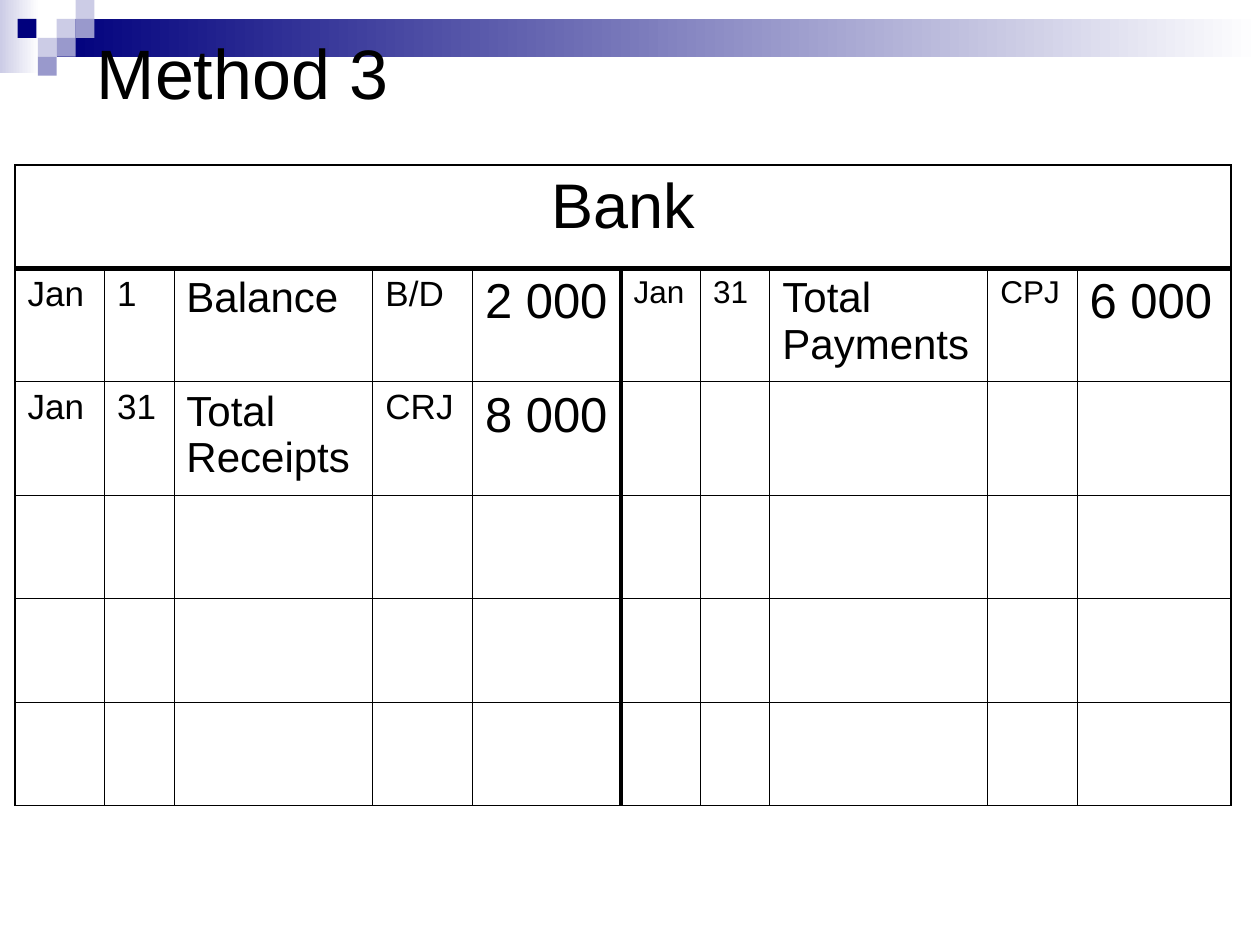
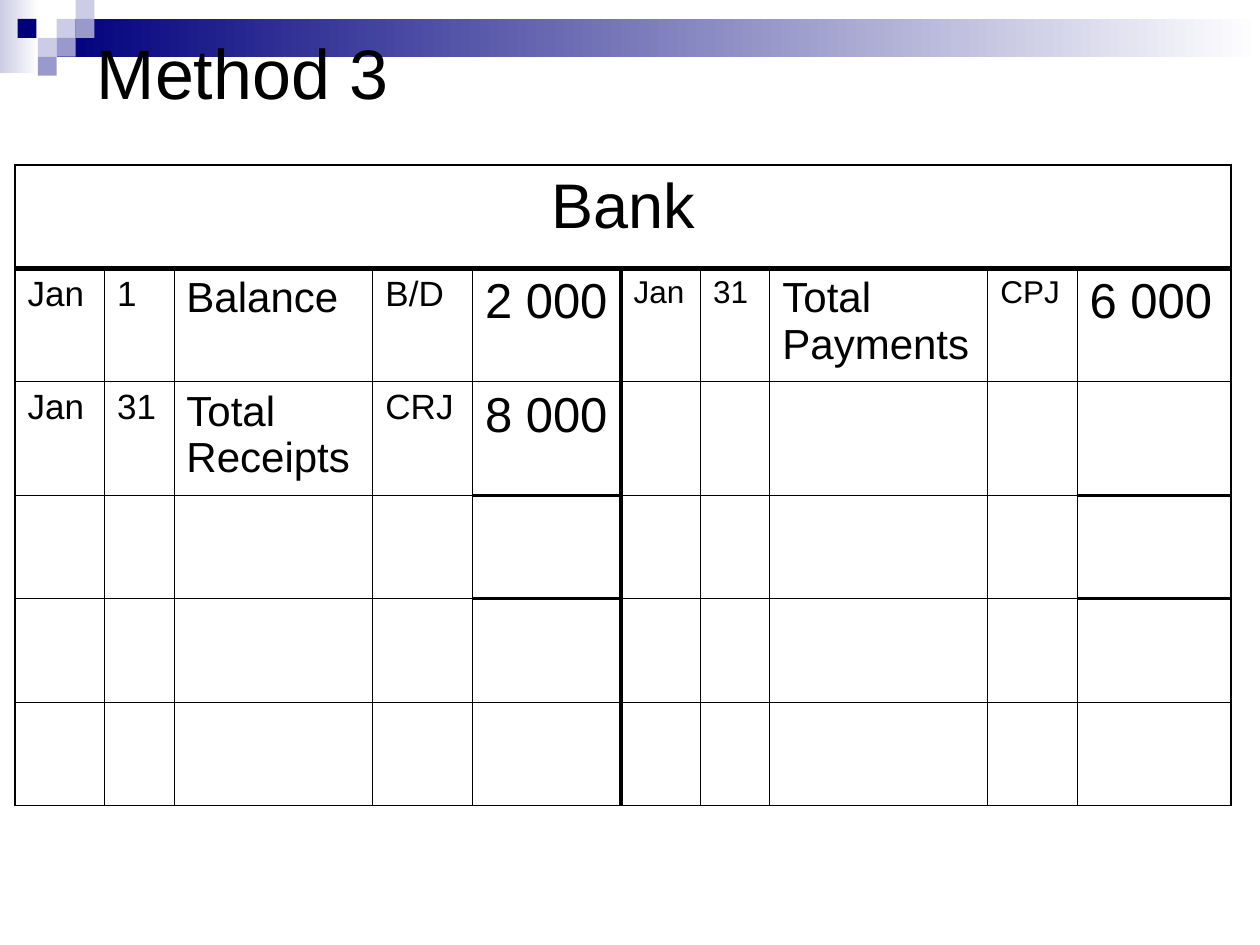
from lxml import etree
from pptx import Presentation
from pptx.dml.color import RGBColor
from pptx.enum.shapes import MSO_SHAPE
from pptx.enum.text import MSO_ANCHOR, PP_ALIGN
from pptx.oxml.ns import qn
from pptx.util import Inches, Pt

RECT = MSO_SHAPE.RECTANGLE
MIDDLE = MSO_ANCHOR.MIDDLE
LEFT, CENTER = PP_ALIGN.LEFT, PP_ALIGN.CENTER

UNIT = 0.15
BLACK, WHITE = "000000", "FFFFFF"
NAVY, LILAC, PALE = "00007D", "9999CC", "CCCCE6"
HAIR, OUTER, TOTAL, HEADER = 0.45, 1.08, 2.21, 3

SQUARES = [(3, 1, PALE), (4, 0, PALE), (4, 1, LILAC), (2, 2, PALE),
           (0.93, 1, NAVY), (3, 2, LILAC), (2, 3, LILAC)]

COL_WIDTHS = [4.73, 3.67, 10.53, 5.27, 7.87, 4.2, 3.67, 11.53, 4.73, 8.13]
ROW_HEIGHTS = [5.47, 6, 6, 5.47, 5.47, 5.47]
COL_SIZES = [20, 20, 24, 20, 28, 18, 18, 24, 18, 28]
AMOUNT_COLS = (4, 9)
CREDIT_COL = 5
ENTRIES = [
    ["Jan", "1", "Balance", "B/D", "2 000", "Jan", "31", "Total Payments", "CPJ", "6 000"],
    ["Jan", "31", "Total Receipts", "CRJ", "8 000"],
]


def rgb(value):
    """Turn a hex string into a colour."""
    return RGBColor.from_string(value)


def grid(n):
    """Turn a number of grid steps into a length."""
    return Inches(n * UNIT)


def write(tf, text, size=18, color=BLACK, font="Arial", align=LEFT):
    """Write one formatted paragraph into a text frame."""
    p = tf.paragraphs[0]
    p.alignment = align
    r = p.add_run()
    r.text = text
    r.font.size, r.font.name = Pt(size), font
    r.font.color.rgb = rgb(color)


def border(cell, edges):
    """Draw the sides of a cell from a dict of side and width."""
    tcPr = cell._tc.get_or_add_tcPr()
    for i, (side, width) in enumerate(edges.items()):
        ln = etree.Element(qn(f"a:ln{side}"), w=str(Pt(width)))
        fill = etree.SubElement(ln, qn("a:solidFill"))
        etree.SubElement(fill, qn("a:srgbClr"), val=BLACK)
        tcPr.insert(i, ln)


def row_edge(row, col, totals):
    """Give the width of the horizontal line above a row."""
    if row == 1:
        return HEADER
    if row in totals and col in AMOUNT_COLS:
        return TOTAL
    return OUTER if row in (0, len(ROW_HEIGHTS)) else HAIR


def col_edge(col):
    """Give the width of the vertical line left of a column."""
    return {0: OUTER, CREDIT_COL: TOTAL, len(COL_WIDTHS): OUTER}.get(col, HAIR)


class Deck:
    """Hold the presentation, its style and the current slide."""

    def __init__(self):
        """Start an empty presentation."""
        self.prs = Presentation()
        self.prs.slide_width, self.prs.slide_height = Inches(10), Inches(7.5)

    def slide(self, title):
        """Add a slide with the shared band and title."""
        self.s = self.prs.slides.add_slide(self.prs.slide_layouts[6])
        self.rect(0, 0, 2.07, 3.87, WHITE, PALE)
        self.rect(3, 1, 63.67, 2, WHITE, NAVY)
        for col, row, color in SQUARES:
            self.rect(col, row, 1, 1, color)
        self.title(title)

    def rect(self, x, y, w, h, color, end=None):
        """Add a plain rectangle, shaded from right to left if it has an end colour."""
        sp = self.s.shapes.add_shape(RECT, grid(x), grid(y), grid(w), grid(h))
        sp.shadow.inherit = False
        sp.line.fill.background()
        if end:
            sp.fill.gradient()
            sp.fill.gradient_angle = 180
            for stop, value in zip(sp.fill.gradient_stops, (color, end)):
                stop.color.rgb = rgb(value)
        else:
            sp.fill.solid()
            sp.fill.fore_color.rgb = rgb(color)

    def title(self, text):
        """Add the slide title."""
        sp = self.s.shapes.add_textbox(grid(4.47), grid(1.4), grid(60), grid(4.73))
        tf = sp.text_frame
        tf.word_wrap = True
        tf.vertical_anchor = MIDDLE
        write(tf, text, size=40)

    def ledger(self, name, entries, totals=()):
        """Add a ledger account with total lines above the given rows."""
        table = self.s.shapes.add_table(
            len(ROW_HEIGHTS), len(COL_WIDTHS), grid(0.8), grid(8.73),
            grid(sum(COL_WIDTHS)), grid(sum(ROW_HEIGHTS))).table
        table.first_row = table.horz_banding = False
        for col, width in zip(table.columns, COL_WIDTHS):
            col.width = grid(width)
        for row, height in zip(table.rows, ROW_HEIGHTS):
            row.height = grid(height)
        table.cell(0, 0).merge(table.cell(0, len(COL_WIDTHS) - 1))
        write(table.cell(0, 0).text_frame, name, size=36, align=CENTER)
        for i, entry in enumerate(entries, 1):
            for j, text in enumerate(entry):
                write(table.cell(i, j).text_frame, text, size=COL_SIZES[j])
        for i, row in enumerate(table.rows):
            for j, cell in enumerate(row.cells):
                cell.fill.background()
                if not cell.is_spanned:
                    border(cell, {"L": col_edge(j), "R": col_edge(j + cell.span_width),
                                  "T": row_edge(i, j, totals),
                                  "B": row_edge(i + 1, j, totals)})


def main():
    """Build both slides and save the file."""
    deck = Deck()
    for totals in ((), (3, 4)):
        deck.slide("Method 3")
        deck.ledger("Bank", ENTRIES, totals)
    deck.prs.save("out.pptx")


if __name__ == "__main__":
    main()
